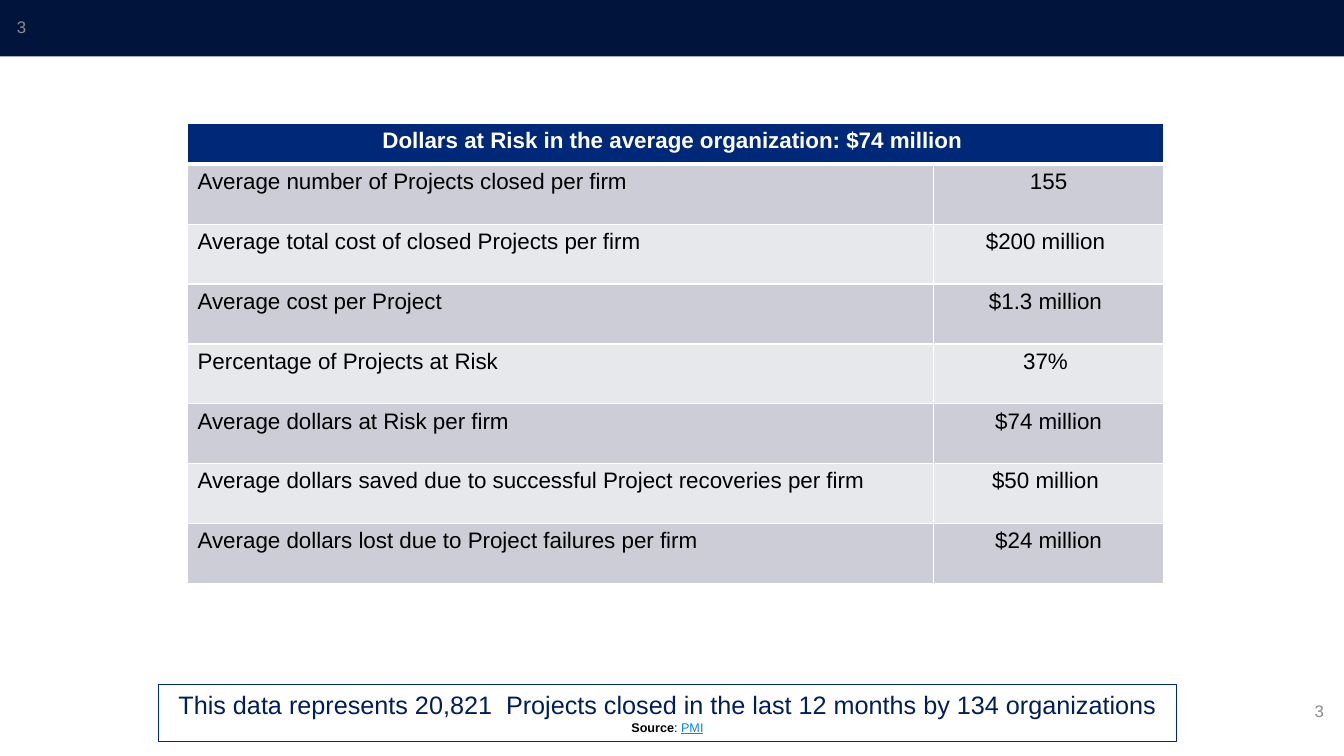
import pptx
import pptx.dml.color
import pptx.enum.shapes
import pptx.enum.text
import pptx.oxml
import pptx.oxml.ns
import pptx.util

Inches = pptx.util.Inches
Pt = pptx.util.Pt
RGBColor = pptx.dml.color.RGBColor
ALIGN = pptx.enum.text.PP_ALIGN
ANCHOR = pptx.enum.text.MSO_ANCHOR
RECT = pptx.enum.shapes.MSO_SHAPE.RECTANGLE

NIGHT = RGBColor(0x00, 0x14, 0x3C)
NAVY = RGBColor(0x00, 0x28, 0x78)
INK = RGBColor(0x00, 0x1E, 0x5A)
LINK = RGBColor(0x00, 0x8C, 0xE6)
GRAY = RGBColor(0x8C, 0x8C, 0x8C)
BANDS = (RGBColor(0xCC, 0xCD, 0xD6), RGBColor(0xE7, 0xE8, 0xEC))
WHITE = RGBColor(0xFF, 0xFF, 0xFF)
BLACK = RGBColor(0x00, 0x00, 0x00)

HEAD = "Dollars at Risk in the average organization: $74 million "
ROWS = [
    ("Average number of Projects closed per firm", "155"),
    ("Average total cost of closed Projects per firm", "$200 million "),
    ("Average cost per Project", "$1.3 million "),
    ("Percentage of Projects at Risk", "37% "),
    ("Average dollars at Risk per firm", "$74 million"),
    ("Average dollars saved due to successful Project recoveries per firm",
     "$50 million "),
    ("Average dollars lost due to Project failures per firm", "$24 million"),
]
NOTE = [
    ("This data represents 20,821  Projects closed in the last 12 months "
     "by 134 organizations ", 18, INK, False),
    ("Source", 9, BLACK, True),
    (": ", 9, BLACK, False),
    ("PMI", 9, LINK, False),
]


def style(font, size, color, bold=False):
    font.name = "Arial"
    font.size = Pt(size)
    font.color.rgb = color
    font.bold = bold


def add_box(slide, left, top, width, height):
    box = slide.shapes.add_shape(
        RECT, Inches(left), Inches(top), Inches(width), Inches(height))
    box.shadow.inherit = False
    return box


def add_bar(slide, left, top, width, height):
    bar = add_box(slide, left, top, width, height)
    bar.fill.solid()
    bar.fill.fore_color.rgb = NIGHT
    bar.line.fill.background()


def add_page(slide, left, top, width, height):
    """Place the page number at the right edge of its box."""
    box = slide.shapes.add_textbox(
        Inches(left), Inches(top), Inches(width), Inches(height))
    frame = box.text_frame
    frame.word_wrap = True
    frame.margin_left = frame.margin_right = 0
    frame.margin_top = frame.margin_bottom = 0
    frame.text = "3"
    para = frame.paragraphs[0]
    para.alignment = ALIGN.RIGHT
    style(para.runs[0].font, 12, GRAY)


def edge_cell(cell, base):
    """Give a cell white borders, the bottom one of the given width."""
    props = cell._tc.get_or_add_tcPr()
    sides = (("lnL", 1), ("lnR", 1), ("lnT", 1), ("lnB", base))
    for place, (side, width) in enumerate(sides):
        props.insert(place, pptx.oxml.parse_xml(
            f'<a:{side} {pptx.oxml.ns.nsdecls("a")} w="{Pt(width)}">'
            f'<a:solidFill><a:srgbClr val="{WHITE}"/></a:solidFill>'
            f'</a:{side}>'))


def fill_cell(cell, text, fill, color, align, bold=False, base=1):
    cell.text_frame.text = text
    para = cell.text_frame.paragraphs[0]
    para.alignment = align
    style(para.runs[0].font, 16, color, bold)
    cell.fill.solid()
    cell.fill.fore_color.rgb = fill
    edge_cell(cell, base)


def add_costs(slide, left, top, width, height):
    head, value = 0.41, 2.28
    table = slide.shapes.add_table(
        len(ROWS) + 1, 2, Inches(left), Inches(top),
        Inches(width), Inches(height)).table
    table.horz_banding = False
    table.columns[0].width = Inches(width - value)
    table.columns[1].width = Inches(value)
    for row in table.rows:
        row.height = Inches((height - head) / len(ROWS))
    table.rows[0].height = Inches(head)

    table.cell(0, 0).merge(table.cell(0, 1))
    fill_cell(table.cell(0, 0), HEAD, NAVY, WHITE, ALIGN.CENTER, True, 3)
    edge_cell(table.cell(0, 1), 3)
    for index, (label, amount) in enumerate(ROWS):
        band = BANDS[index % 2]
        fill_cell(table.cell(index + 1, 0), label, band, BLACK, ALIGN.LEFT)
        fill_cell(table.cell(index + 1, 1), amount, band, BLACK, ALIGN.CENTER)


def add_note(slide, left, top, width, height):
    """Frame the note, whose source wraps onto a second line."""
    box = add_box(slide, left, top, width, height)
    box.fill.background()
    box.line.color.rgb = NAVY
    box.line.width = Pt(0.75)
    frame = box.text_frame
    frame.word_wrap = True
    frame.vertical_anchor = ANCHOR.TOP
    para = frame.paragraphs[0]
    para.alignment = ALIGN.CENTER
    for text, size, color, bold in NOTE:
        run = para.add_run()
        run.text = text
        style(run.font, size, color, bold)
    para.runs[-1].font.underline = True


def main():
    deck = pptx.Presentation()
    deck.slide_width = Inches(13.33)
    deck.slide_height = Inches(7.5)
    slide = deck.slides.add_slide(deck.slide_layouts[6])
    add_bar(slide, 0, 0, 13.33, 0.56)
    add_page(slide, 12.44, 6.95, 0.69, 0.31)
    add_costs(slide, 1.86, 1.22, 9.68, 4.57)
    add_note(slide, 1.57, 6.79, 10.1, 0.57)
    add_page(slide, 0.06, 0.17, 0.2, 0.2)
    deck.save("out.pptx")


if __name__ == "__main__":
    main()
